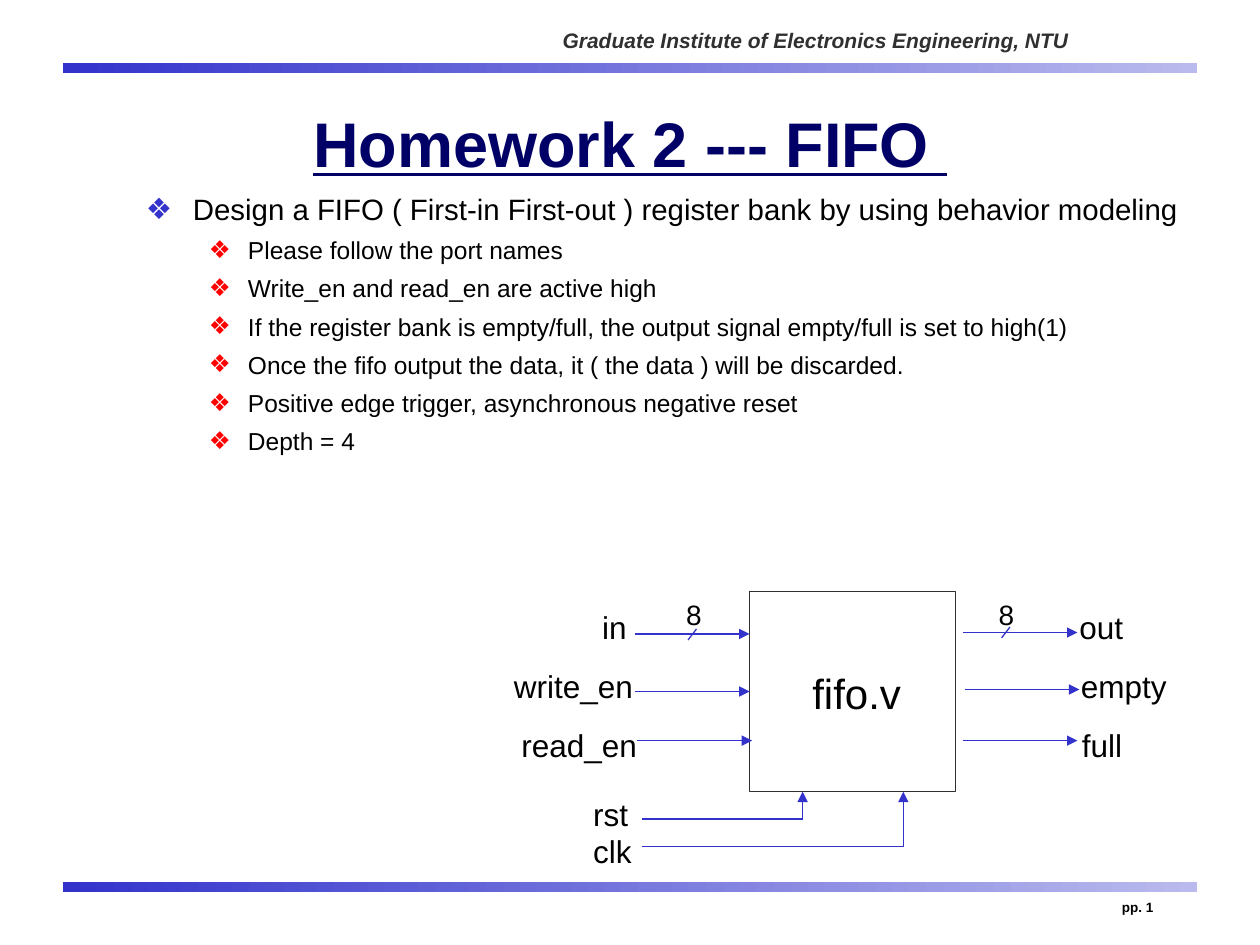
from lxml import etree
from pptx import Presentation
from pptx import util as u
from pptx.dml.color import RGBColor
from pptx.enum import shapes, text
from pptx.oxml.ns import qn

BLUE, PALE, NAVY, RED = "3333CC", "BABAEE", "000066", "FF0000"
BLACK, GREY = "000000", "303030"
LEFT, CENTER, RIGHT = text.PP_ALIGN.LEFT, text.PP_ALIGN.CENTER, text.PP_ALIGN.RIGHT

HEADING = "Design a FIFO ( First-in First-out ) register bank by using behavior modeling"
DETAILS = [
    "Please follow the port names",
    "Write_en and read_en are active high",
    "If the register bank is empty/full, the output signal empty/full is set to high(1)",
    "Once the fifo output the data, it ( the data ) will be discarded.",
    "Positive edge trigger, asynchronous negative reset",
    "Depth = 4",
]


def color(value):
    """Turn a hex string into a colour."""
    return RGBColor.from_string(value)


def add_bar(page, top):
    """Draw a full-width gradient rule."""
    bar = page.shapes.add_shape(shapes.MSO_SHAPE.RECTANGLE, u.Cm(1.27), u.Cm(top), u.Cm(22.86), u.Cm(0.2))
    bar.shadow.inherit = False
    bar.line.fill.background()
    bar.fill.gradient()
    bar.fill.gradient_angle = 0
    for stop, value in zip(bar.fill.gradient_stops, (BLUE, PALE)):
        stop.color.rgb = color(value)


def add_block(page):
    """Draw the outline of the module."""
    block = page.shapes.add_shape(shapes.MSO_SHAPE.RECTANGLE, u.Cm(15.11), u.Cm(11.92), u.Cm(4.15), u.Cm(4.04))
    block.shadow.inherit = False
    block.fill.background()
    block.line.color.rgb = color(GREY)
    block.line.width = u.Pt(0.75)
    return block


def add_frame(page, left, top, width, height, wrap=True, anchor=text.MSO_ANCHOR.TOP):
    """Add an empty text box and return its text frame."""
    frame = page.shapes.add_textbox(u.Cm(left), u.Cm(top), u.Cm(width), u.Cm(height)).text_frame
    frame.word_wrap = wrap
    frame.vertical_anchor = anchor
    return frame


def write(para, words, size=18, value=BLACK, align=LEFT, **style):
    """Fill a paragraph with one formatted run."""
    para.alignment = align
    span = para.add_run()
    span.text = words
    span.font.name = "Arial"
    span.font.size = u.Pt(size)
    span.font.color.rgb = color(value)
    for name, setting in style.items():
        setattr(span.font, name, setting)


def add_text(page, words, left, top, width, height, wrap=True, anchor=text.MSO_ANCHOR.TOP, **style):
    """Add a text box that holds one line."""
    frame = add_frame(page, left, top, width, height, wrap, anchor)
    write(frame.paragraphs[0], words, **style)


def set_bullet(para, value, margin, hang):
    """Give a paragraph a coloured diamond and a hanging indent."""
    props = para._p.get_or_add_pPr()
    props.set("marL", str(u.Cm(margin)))
    props.set("indent", str(-u.Cm(hang)))
    tint = etree.SubElement(props, qn("a:buClr"))
    etree.SubElement(tint, qn("a:srgbClr"), val=value)
    etree.SubElement(props, qn("a:buFont"), typeface="Arial")
    etree.SubElement(props, qn("a:buChar"), char="❖")


def add_list(page):
    """Write the assignment and its details."""
    frame = add_frame(page, 2.69, 3.73, 22.2, 7.39)
    para = frame.paragraphs[0]
    set_bullet(para, BLUE, 0.95, 0.95)
    write(para, HEADING, size=16.8)
    for detail in DETAILS:
        para = frame.add_paragraph()
        para.level = 1
        set_bullet(para, RED, 2.06, 0.79)
        para.space_before = u.Pt(5)
        write(para, detail, size=14)


def add_line(page, start, end, arrow=False):
    """Draw a straight wire, with an arrowhead at its end if asked."""
    points = [u.Cm(number) for number in (*start, *end)]
    wire = page.shapes.add_connector(shapes.MSO_CONNECTOR.STRAIGHT, *points)
    wire.line.color.rgb = color(BLUE)
    wire.line.width = u.Pt(0.75)
    if arrow:
        etree.SubElement(wire.line._get_or_add_ln(), qn("a:tailEnd"), type="triangle")
    etree.SubElement(wire._element.spPr, qn("a:effectLst"))
    return wire


def add_ports(page, block):
    """Draw the side ports: label, label place and width, wire start and height."""
    ports = [
        ("in", 11.89, 12.14, 1.25, 12.8, 12.78),
        ("write_en", 10.11, 13.33, 3.1, 12.8, 13.94),
        ("read_en", 10.26, 14.52, 3.1, 12.85, 14.93),
        ("out", 21.51, 12.14, 1.6, 19.41, 12.75),
        ("empty", 21.54, 13.33, 2.45, 19.45, 13.9),
        ("full", 21.56, 14.52, 1.55, 19.41, 14.93),
    ]
    for name, left, top, width, start, height in ports:
        add_text(page, name, left, top, width, 1.02, wrap=False)
        wire = add_line(page, (start, height), (start + 2.31, height), arrow=True)
        if name == "write_en":
            wire.end_connect(block, 1)


def add_bus_mark(page, left, slash_left, slash_top):
    """Mark a wire as eight bits wide."""
    add_text(page, "8", left, 11.92, 0.81, 0.94, size=16)
    add_line(page, (slash_left + 0.17, slash_top), (slash_left, slash_top + 0.22))


def add_control(page, name, top, turn, height):
    """Draw a control input that turns up into the bottom of the module."""
    add_text(page, name, 11.71, top, 1.5, 1.02, wrap=False)
    add_line(page, (12.95, height), (turn, height))
    add_line(page, (turn, height), (turn, 15.96), arrow=True)


def main():
    """Build and save the deck."""
    deck = Presentation()
    deck.slide_width, deck.slide_height = u.Cm(25.4), u.Cm(19.05)
    page = deck.slides.add_slide(deck.slide_layouts[6])
    for top in (1.27, 17.78):
        add_bar(page, top)
    add_text(page, "Graduate Institute of Electronics Engineering, NTU", 1.27, 0.43, 20.53, 0.76,
             size=12, value=GREY, align=RIGHT, bold=True, italic=True)
    add_text(page, "pp. 1", 18.21, 17.99, 5.29, 0.64, size=7.7, align=RIGHT, bold=True)
    add_text(page, "Homework 2 --- FIFO ", 1.91, 1.81, 21.59, 2.12, anchor=text.MSO_ANCHOR.MIDDLE,
             size=36, value=NAVY, align=CENTER, bold=True, underline=True)
    add_list(page)
    block = add_block(page)
    add_text(page, "fifo.v", 15.53, 13.33, 3.48, 1.27, size=24, align=CENTER)
    add_ports(page, block)
    add_bus_mark(page, 13.58, 13.87, 12.68)
    add_bus_mark(page, 19.88, 20.19, 12.64)
    add_control(page, "rst", 15.9, 16.18, 16.51)
    add_control(page, "clk", 16.64, 18.21, 17.07)
    deck.save("out.pptx")


if __name__ == "__main__":
    main()
